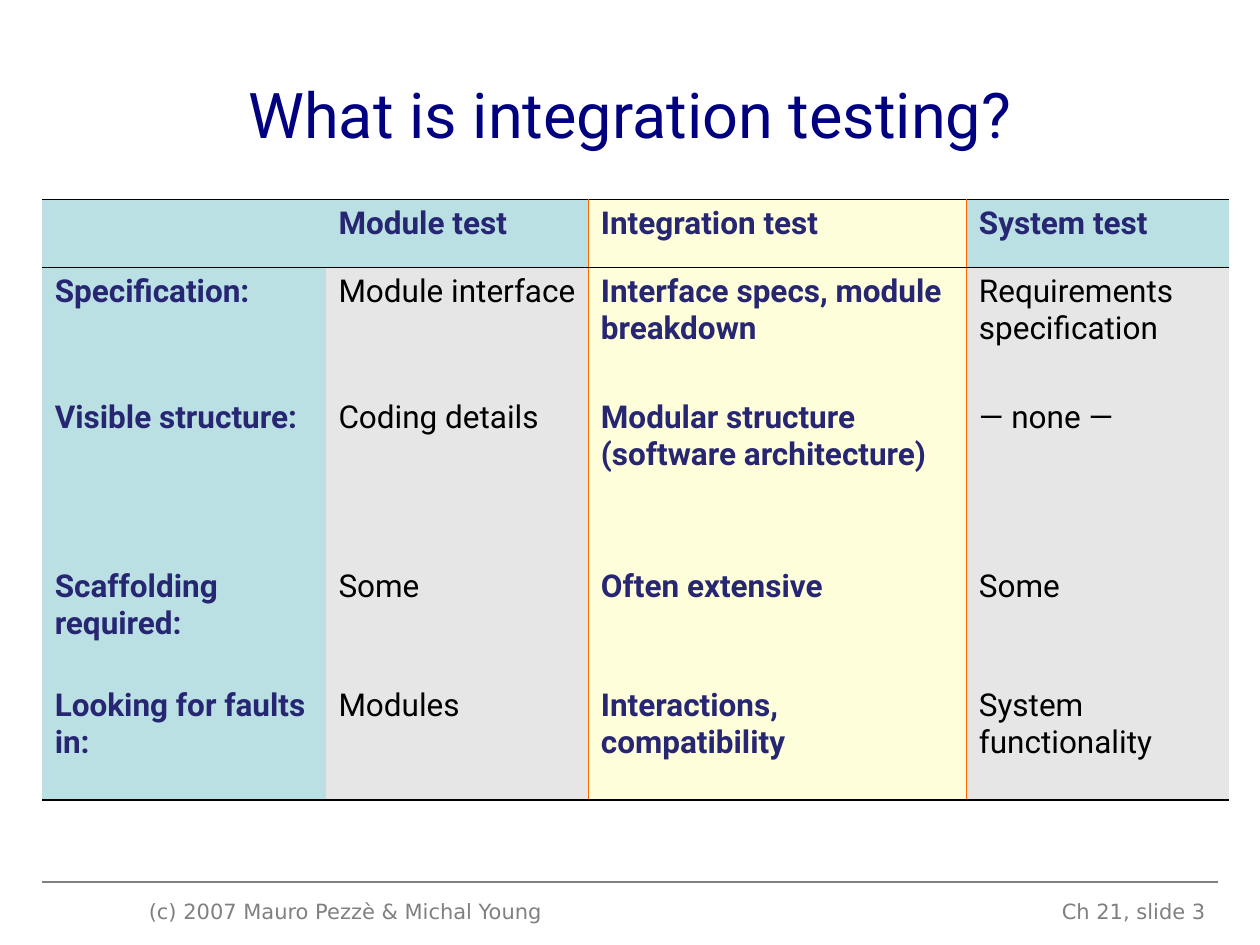
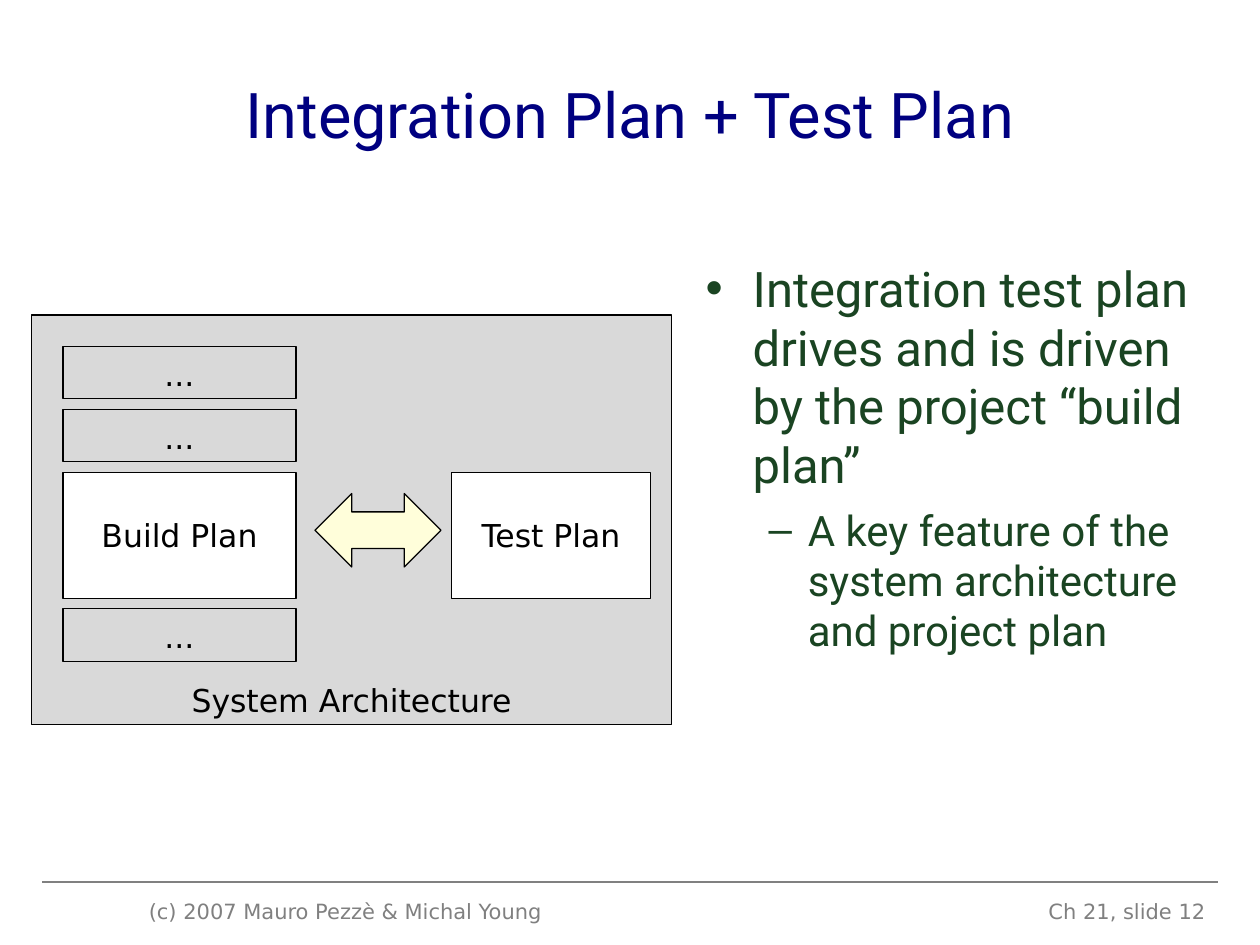
from lxml.etree import SubElement
from pptx import Presentation
from pptx.dml.color import RGBColor
from pptx.enum.shapes import MSO_CONNECTOR as Connector, MSO_SHAPE as Preset
from pptx.enum.text import MSO_ANCHOR as Anchor, PP_ALIGN as Align
from pptx.oxml.ns import qn
from pptx.util import Cm, Pt

HEADING_FONT, LABEL_FONT = "Roboto", "DejaVu Sans"
NAVY, INDIGO, GREEN = "000080", "262673", "1A4422"
BLACK, WHITE, GREY, ORANGE = "000000", "FFFFFF", "808080", "FF6600"
TEAL, CREAM, SILVER, PANEL = "BBE0E3", "FFFEDA", "E6E6E6", "D9D9D9"

COPYRIGHT = "(c) 2007 Mauro Pezzè & Michal Young"
TESTING = {
    "title": "What is integration testing?",
    "footer": "Ch 21, slide 3",
    "rows": [
        ("", "Module test", "Integration test", "System test"),
        ("Specification:", "Module interface", "Interface specs, module breakdown",
         "Requirements specification"),
        ("Visible structure:", "Coding details",
         "Modular structure (software architecture)", "— none —"),
        ("Scaffolding required:", "Some", "Often extensive", "Some"),
        ("Looking for faults in:", "Modules", "Interactions, compatibility",
         "System functionality"),
    ],
    "column_widths": (5.72, 5.29, 7.62, 5.29),
    "row_heights": (1.37, 2.54, 3.4, 2.4, 2.4),
}
PLANS = {
    "title": "Integration Plan + Test Plan",
    "footer": "Ch 21, slide 12",
    "bullets": [
        (0, "•", "Integration test plan drives and is driven by the project “build plan”"),
        (1, "–", "A key feature of the system architecture and project plan"),
    ],
    "layers": ["...", "...", "Build Plan", "..."],
}
BULLET_STYLES = [(28, 0.95, -0.95, 0), (24, 2.06, -0.79, 6)]
INTEGRATION_COLUMN = 2


def color(value):
    return RGBColor.from_string(value)


def place(shape, left, top, width, height):
    shape.left, shape.top = Cm(left), Cm(top)
    shape.width, shape.height = Cm(width), Cm(height)


def style(paragraph, name, size, value, bold=False, align=Align.LEFT):
    paragraph.alignment = align
    font = paragraph.font
    font.name, font.size, font.bold = name, Pt(size), bold
    font.color.rgb = color(value)


def add_footer(slide, text, left, width, align):
    box = slide.shapes.add_textbox(Cm(left), Cm(17.98), Cm(width), Cm(0.69))
    box.text_frame.word_wrap = True
    box.text_frame.text = text
    style(box.text_frame.paragraphs[0], LABEL_FONT, 12, GREY, align=align)


def add_slide(presentation, layout, content):
    slide = presentation.slides.add_slide(presentation.slide_layouts[layout])
    title = slide.shapes.title
    place(title, 1.27, 0.76, 22.86, 3.05)
    title.text_frame.text = content["title"]
    title.text_frame.vertical_anchor = Anchor.MIDDLE
    style(title.text_frame.paragraphs[0], HEADING_FONT, 36, NAVY, align=Align.CENTER)
    rule = slide.shapes.add_connector(
        Connector.STRAIGHT, Cm(0.85), Cm(17.78), Cm(24.55), Cm(17.78))
    rule.line.color.rgb = color(GREY)
    rule.line.width = Pt(0.75)
    SubElement(rule._element.spPr, qn("a:effectLst"))
    add_footer(slide, COPYRIGHT, 2.75, 8.89, Align.LEFT)
    add_footer(slide, content["footer"], 18.63, 5.92, Align.RIGHT)
    return slide


def set_border(cell, side, line):
    properties = cell._tc.get_or_add_tcPr()
    border = SubElement(properties, qn(f"a:ln{side}"))
    if line is None:
        SubElement(border, qn("a:noFill"))
        return
    value, width = line
    border.set("w", str(Pt(width)))
    fill = SubElement(border, qn("a:solidFill"))
    SubElement(fill, qn("a:srgbClr"), val=value)


def add_comparison(slide, content):
    rows, widths, heights = (content[key] for key in ("rows", "column_widths", "row_heights"))
    table = slide.shapes.add_table(
        len(rows), len(widths), Cm(0.85), Cm(4.02), Cm(sum(widths)), Cm(sum(heights))).table
    table.first_row = table.horz_banding = False
    for column, width in zip(table.columns, widths):
        column.width = Cm(width)
    for row, height in zip(table.rows, heights):
        row.height = Cm(height)
    ruled_rows = {0, 1, len(rows)}
    ruled_columns = {INTEGRATION_COLUMN, INTEGRATION_COLUMN + 1}
    for i, texts in enumerate(rows):
        for j, text in enumerate(texts):
            cell = table.cell(i, j)
            for side, edge in (("L", j), ("R", j + 1)):
                set_border(cell, side, (ORANGE, 0.45) if edge in ruled_columns else None)
            for side, edge in (("T", i), ("B", i + 1)):
                set_border(cell, side, (BLACK, 0.96) if edge in ruled_rows else None)
            heading = i == 0 or j == 0
            highlighted = j == INTEGRATION_COLUMN
            cell.fill.solid()
            cell.fill.fore_color.rgb = color(
                CREAM if highlighted else TEAL if heading else SILVER)
            strong = heading or highlighted
            cell.text_frame.text = text
            style(cell.text_frame.paragraphs[0], HEADING_FONT, 18,
                  INDIGO if strong else BLACK, strong)


def add_block(slide, preset, box, fill, text="", anchor=Anchor.MIDDLE):
    shape = slide.shapes.add_shape(preset, *map(Cm, box))
    shape.shadow.inherit = False
    shape.fill.solid()
    shape.fill.fore_color.rgb = color(fill)
    shape.line.color.rgb = color(BLACK)
    shape.line.width = Pt(0.75)
    if text:
        frame = shape.text_frame
        frame.text = text
        frame.word_wrap = False
        frame.vertical_anchor = anchor
        style(frame.paragraphs[0], LABEL_FONT, 18, BLACK, align=Align.CENTER)


def add_architecture(slide, layers):
    add_block(slide, Preset.RECTANGLE, (0.64, 6.35, 12.9, 8.26), PANEL,
              "System Architecture", Anchor.BOTTOM)
    top, gap = 6.98, 0.21
    for text in layers:
        is_plan = text == "Build Plan"
        height = 2.54 if is_plan else 1.06
        add_block(slide, Preset.RECTANGLE, (1.27, top, 4.7, height),
                  WHITE if is_plan else PANEL, text,
                  Anchor.MIDDLE if is_plan else Anchor.BOTTOM)
        if is_plan:
            add_block(slide, Preset.RECTANGLE, (9.1, top, 4.02, height), WHITE, "Test Plan")
            add_block(slide, Preset.LEFT_RIGHT_ARROW, (6.35, top + 0.43, 2.54, 1.48), CREAM)
        top += height + gap


def add_bullets(slide, bullets):
    body = slide.placeholders[1]
    place(body, 13.97, 5.08, 10.37, 9.74)
    frame = body.text_frame
    for index, (level, mark, text) in enumerate(bullets):
        paragraph = frame.add_paragraph() if index else frame.paragraphs[0]
        paragraph.text = text
        paragraph.level = level
        size, margin, indent, before = BULLET_STYLES[level]
        properties = paragraph._p.get_or_add_pPr()
        properties.set("marL", str(Cm(margin)))
        properties.set("indent", str(Cm(indent)))
        SubElement(SubElement(properties, qn("a:buClr")), qn("a:srgbClr"), val=GREEN)
        SubElement(properties, qn("a:buChar"), char=mark)
        paragraph.space_before = Pt(before)
        style(paragraph, HEADING_FONT, size, GREEN)


def main():
    presentation = Presentation()
    presentation.slide_width, presentation.slide_height = Cm(25.4), Cm(19.05)
    add_comparison(add_slide(presentation, 5, TESTING), TESTING)
    plans_slide = add_slide(presentation, 1, PLANS)
    add_architecture(plans_slide, PLANS["layers"])
    add_bullets(plans_slide, PLANS["bullets"])
    presentation.save("out.pptx")


if __name__ == "__main__":
    main()
